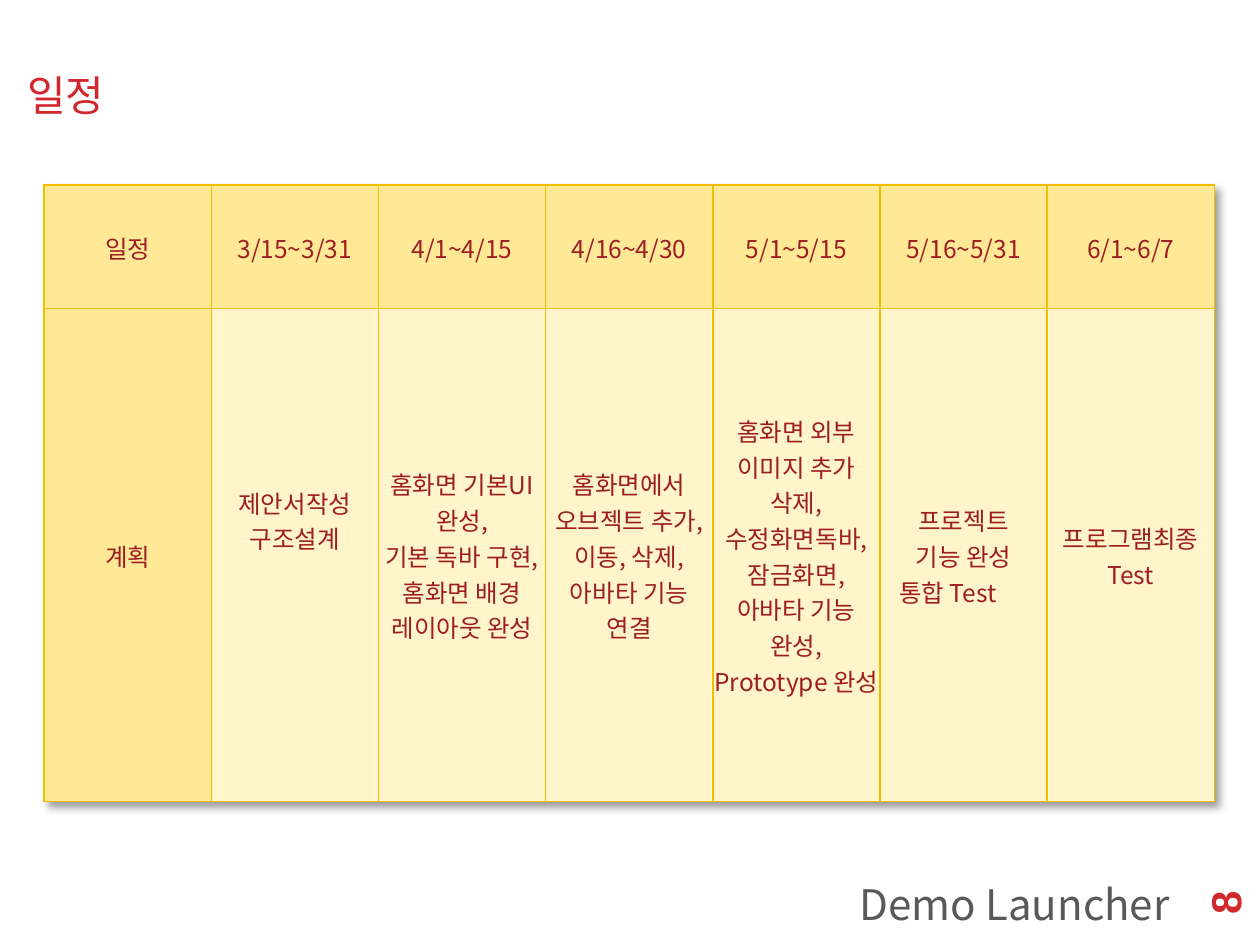
import pptx
import pptx.dml.color
import pptx.enum.text
import pptx.oxml
import pptx.oxml.ns
import pptx.util
from dataclasses import dataclass

Inches = pptx.util.Inches
Pt = pptx.util.Pt
ALIGN = pptx.enum.text.PP_ALIGN
ANCHOR = pptx.enum.text.MSO_ANCHOR
qn = pptx.oxml.ns.qn
NS = pptx.oxml.ns.nsdecls("a")


@dataclass(frozen=True)
class Theme:
    red: str = "D1282E"
    cell_text: str = "9D1E22"
    grey: str = "595959"
    head_fill: str = "FFE996"
    body_fill: str = "FFF4CA"
    border: str = "F1BE00"
    heading: str = "Montserrat"
    body: str = "Noto Sans CJK KR"
    number: str = "Arial"
    large: int = 24
    small: int = 14


def rgb(value):
    return pptx.dml.color.RGBColor.from_string(value)


class Deck:
    def __init__(self, prs, theme):
        self.theme = theme
        self.s = prs.slides.add_slide(prs.slide_layouts[5])

    def add_run(self, p, text, font, size, color, bold=False):
        r = p.add_run()
        r.text = text
        r.font.name = font
        r.font.size = Pt(size)
        r.font.bold = bold
        r.font.color.rgb = rgb(color)
        ea = pptx.oxml.parse_xml(f'<a:ea {NS} typeface="{self.theme.body}"/>')
        r.font._element.find(qn("a:latin")).addnext(ea)
        return r

    def title(self, text, left, top, width, height):
        sp = self.s.shapes.title
        sp.left, sp.top = Inches(left), Inches(top)
        sp.width, sp.height = Inches(width), Inches(height)
        tf = sp.text_frame
        tf.vertical_anchor = ANCHOR.BOTTOM
        p = tf.paragraphs[0]
        p.alignment = ALIGN.LEFT
        r = self.add_run(p, text, self.theme.heading, self.theme.large, self.theme.red)
        r.font._element.set("spc", "-60")

    def text(self, text, left, top, width, height, font, color,
             align=ALIGN.LEFT, bold=False, rotation=0):
        sp = self.s.shapes.add_textbox(
            Inches(left), Inches(top), Inches(width), Inches(height))
        sp.rotation = rotation
        tf = sp.text_frame
        tf.word_wrap = True
        tf.vertical_anchor = ANCHOR.MIDDLE
        p = tf.paragraphs[0]
        p.alignment = align
        self.add_run(p, text, font, self.theme.large, color, bold)

    def cell(self, cell, lines, fill):
        cell.vertical_anchor = ANCHOR.MIDDLE
        cell.margin_left = cell.margin_right = cell.margin_top = Inches(0.01)
        cell.margin_bottom = 0
        tf = cell.text_frame
        for i, line in enumerate(lines):
            p = tf.add_paragraph() if i else tf.paragraphs[0]
            p.alignment = ALIGN.CENTER
            self.add_run(p, line, self.theme.body, self.theme.small, self.theme.cell_text)
        cell.fill.solid()
        cell.fill.fore_color.rgb = rgb(fill)
        tc_pr = cell._tc.get_or_add_tcPr()
        for i, side in enumerate("LRTB"):
            tc_pr.insert(i, pptx.oxml.parse_xml(
                f'<a:ln{side} {NS} w="{Pt(1)}"><a:solidFill>'
                f'<a:srgbClr val="{self.theme.border}"/></a:solidFill></a:ln{side}>'))

    def table(self, rows, left, top, col_width, row_heights):
        columns = len(rows[0])
        table = self.s.shapes.add_table(
            len(rows), columns, Inches(left), Inches(top),
            Inches(col_width * columns), Inches(sum(row_heights))).table
        table.first_row = table.horz_banding = False
        table._tbl.tblPr.insert(0, pptx.oxml.parse_xml(
            f'<a:effectLst {NS}><a:outerShdw blurRad="50800" dist="50800" '
            'dir="2700000" algn="tl" rotWithShape="0"><a:srgbClr val="000000">'
            '<a:alpha val="40000"/></a:srgbClr></a:outerShdw></a:effectLst>'))
        for column in table.columns:
            column.width = Inches(col_width)
        for i, row in enumerate(rows):
            table.rows[i].height = Inches(row_heights[i])
            for j, lines in enumerate(row):
                is_head = i == 0 or j == 0
                fill = self.theme.head_fill if is_head else self.theme.body_fill
                self.cell(table.cell(i, j), lines, fill)
        return table


def main():
    prs = pptx.Presentation()
    prs.slide_width, prs.slide_height = Inches(10), Inches(7.5)
    theme = Theme()
    deck = Deck(prs, theme)

    dates = ["일정", "3/15~3/31", "4/1~4/15", "4/16~4/30",
             "5/1~5/15", "5/16~5/31", "6/1~6/7"]
    plans = [
        ["계획"],
        ["제안서작성", "구조설계"],
        ["홈화면 기본UI", "완성,", "기본 독바 구현,", "홈화면 배경 레이아웃 완성"],
        ["홈화면에서 오브젝트 추가, 이동, 삭제,", "아바타 기능 연결"],
        ["홈화면 외부 이미지 추가 삭제,", "수정화면독바,", "잠금화면,",
         "아바타 기능 완성,", "Prototype 완성"],
        ["프로젝트", "기능 완성", "통합 Test"],
        ["프로그램최종 Test"],
    ]

    deck.title("일정", 0.12, 0.29, 7.87, 0.71)
    table = deck.table([[[date] for date in dates], plans],
                       0.35, 1.47, 9.29 / 7, [0.98, 3.91])
    table.cell(1, 1).margin_bottom = Inches(0.56)
    last = table.cell(1, 5).text_frame.paragraphs[-1]
    last._p.get_or_add_pPr().set("marR", str(Inches(0.25)))
    deck.text("8", 9, 6.44, 1.44, 0.4, theme.number, theme.red, bold=True, rotation=270)
    deck.text("Demo Launcher", 5.63, 6.98, 3.75, 0.39, theme.body, theme.grey,
              align=ALIGN.RIGHT)
    prs.save("out.pptx")


if __name__ == "__main__":
    main()
